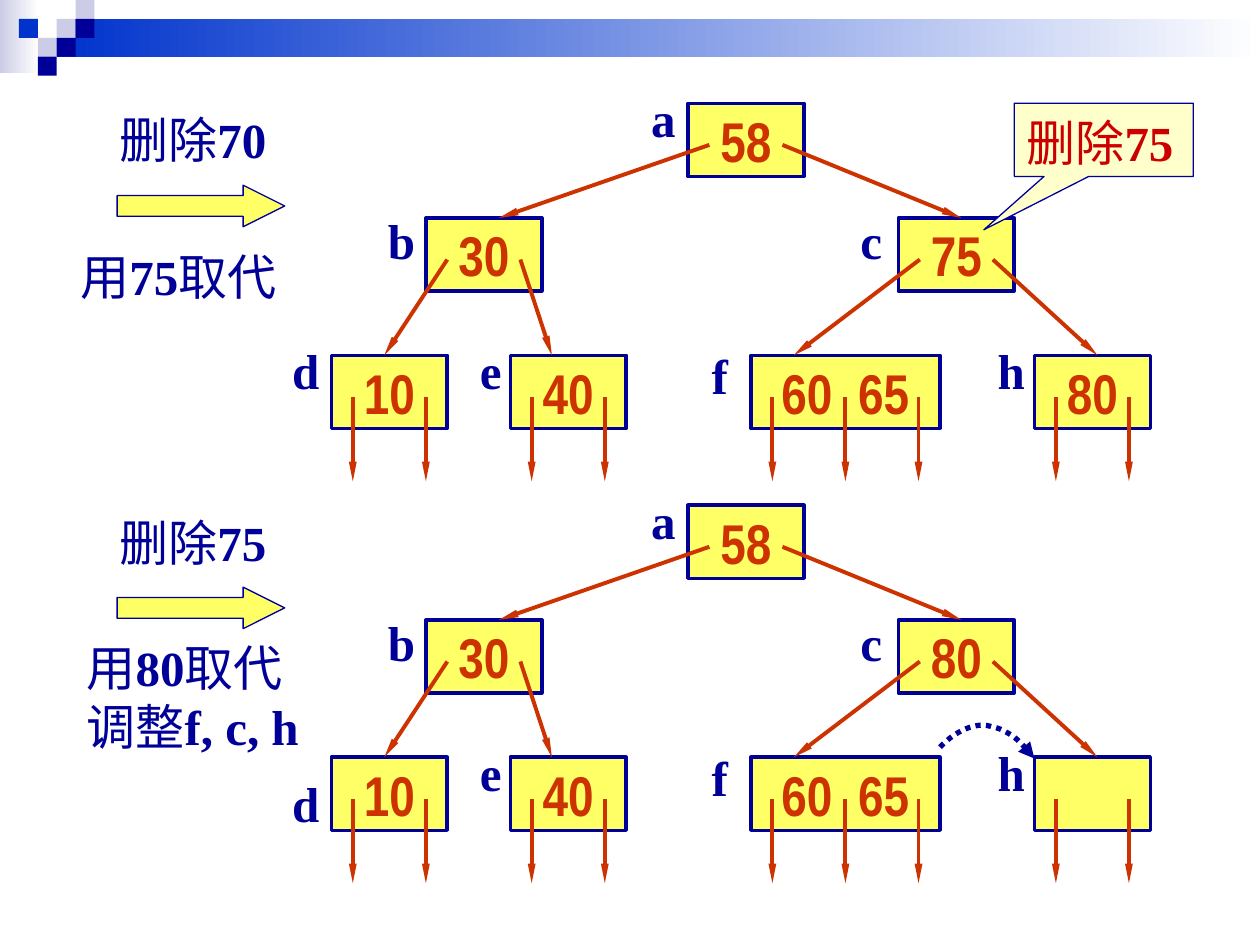
from dataclasses import dataclass

from lxml.etree import SubElement
from pptx import Presentation
from pptx.dml.color import RGBColor
from pptx.enum.dml import MSO_LINE_DASH_STYLE as Dash
from pptx.enum.shapes import MSO_CONNECTOR as Connector, MSO_SHAPE as Shape
from pptx.enum.text import MSO_ANCHOR as Anchor, MSO_AUTO_SIZE as AutoSize, PP_ALIGN as Align
from pptx.oxml.ns import qn
from pptx.util import Inches, Pt


@dataclass(frozen=True)
class Theme:
    navy: str = "000099"
    blue: str = "0033CC"
    lilac: str = "CCCCE6"
    white: str = "FFFFFF"
    yellow: str = "FFFF66"
    cream: str = "FFFFCC"
    rust: str = "CC3300"
    red: str = "CC0000"
    key_font: str = "Arial Narrow"
    text_font: str = "Times New Roman"
    key_size: int = 32
    text_size: int = 28


THEME = Theme()

# Content: trees before and after the deletion
TREES = [
    dict(top=0.82, keys=dict(a=["58"], b=["30"], c=["75"], d=["10"], e=["40"], f=["60", "65"], h=["80"]),
         lowered={}),
    dict(top=4.01, keys=dict(a=["58"], b=["30"], c=["80"], d=["10"], e=["40"], f=["60", "65"], h=[]),
         lowered={"d": 0.25}),
]
# Node: left, level, label left, label rise above the box, incoming arrow x
NODES = {
    "a": (5.46, 0, 5.07, 0.17, None),
    "b": (3.38, 1, 2.98, 0.11, 3.96),
    "c": (7.13, 1, 6.73, 0.11, 7.63),
    "d": (2.63, 2, 2.22, 0.17, 3.05),
    "e": (4.05, 2, 3.71, 0.17, 4.38),
    "f": (5.96, 2, 5.55, 0.13, 6.30),
    "h": (8.21, 2, 7.82, 0.17, 8.71),
}
CHILDREN = {"a": "bc", "b": "de", "c": "fh"}
LEVELS = (0, 0.91, 2.0)

# Notes: left, top, width, height, colour, lines of (text, bold) runs
NOTES = [
    (0.85, 0.82, 1.46, 0.57, THEME.navy, [[("删除", False), ("70", True)]]),
    (0.54, 1.91, 1.94, 0.57, THEME.navy, [[("用", False), ("75", True), ("取代", False)]]),
    (8.05, 0.84, 1.77, 0.57, THEME.red, [[("删除", False), ("75", True)]]),
    (0.85, 4.02, 1.46, 0.57, THEME.navy, [[("删除", False), ("75", True)]]),
    (0.59, 5.01, 1.97, 1.04, THEME.navy,
     [[("用", False), ("80", True), ("取代", False)], [("调整", False), ("f, c, h", True)]]),
]
# Borrowing arrow from f to h: start, then cubic curves
CURVE_START = (7.46, 5.93)
CURVES = [
    ((7.48, 5.91), (7.51, 5.88), (7.55, 5.85)),
    ((7.59, 5.82), (7.66, 5.78), (7.71, 5.77)),
    ((7.77, 5.75), (7.82, 5.75), (7.88, 5.77)),
    ((7.94, 5.78), (7.99, 5.81), (8.05, 5.85)),
    ((8.10, 5.89), (8.19, 5.99), (8.21, 6.02)),
]
# Header mosaic: column, row, colour
PIXEL = 0.15
MOSAIC = [(3, 1, THEME.lilac), (4, 0, THEME.lilac), (4, 1, THEME.navy), (2, 2, THEME.lilac),
          (1, 1, THEME.blue), (3, 2, THEME.navy), (2, 3, THEME.navy)]

BOX_HEIGHT, PORT_PAD, PORT_STEP, PORT_DROP, LEAF_DROP = 0.58, 0.17, 0.58, 0.33, 0.67

deck = Presentation()
deck.slide_width, deck.slide_height = Inches(10), Inches(7.5)
page = deck.slides.add_slide(deck.slide_layouts[6])


def rgb(colour):
    return RGBColor.from_string(colour)


def add_box(kind, left, top, width, height, fill, line_width=None):
    box = page.shapes.add_shape(kind, *map(Inches, (left, top, width, height)))
    box.shadow.inherit = False
    if isinstance(fill, tuple):
        box.fill.gradient()
        box.fill.gradient_angle = 0
        for stop, colour, position in zip(box.fill.gradient_stops, fill, (0, 1)):
            stop.color.rgb, stop.position = rgb(colour), position
    else:
        box.fill.solid()
        box.fill.fore_color.rgb = rgb(fill)
    if line_width:
        box.line.color.rgb, box.line.width = rgb(THEME.navy), Pt(line_width)
    else:
        box.line.fill.background()
    return box


def add_span(para, text, font, size, colour, bold):
    span = para.add_run()
    span.text = text
    span.font.name, span.font.size, span.font.bold = font, Pt(size), bold
    span.font.color.rgb = rgb(colour)
    return span


def add_note(left, top, width, height, colour, lines):
    frame = page.shapes.add_textbox(*map(Inches, (left, top, width, height))).text_frame
    frame.word_wrap, frame.auto_size = False, AutoSize.SHAPE_TO_FIT_TEXT
    for index, line in enumerate(lines):
        para = frame.add_paragraph() if index else frame.paragraphs[0]
        para.alignment = Align.LEFT
        for text, bold in line:
            add_span(para, text, THEME.text_font, THEME.text_size, colour, bold)


def add_head(line, width, length):
    SubElement(line.line._get_or_add_ln(), qn("a:tailEnd"), type="triangle", w=width, len=length)


def add_arrow(start, end):
    arrow = page.shapes.add_connector(Connector.STRAIGHT, *map(Inches, (*start, *end)))
    arrow.line.color.rgb, arrow.line.width = rgb(THEME.rust), Pt(2.25)
    add_head(arrow, "sm", "lg")
    SubElement(arrow._element.spPr, qn("a:effectLst"))


def add_keys(box, keys):
    frame = box.text_frame
    frame.word_wrap, frame.vertical_anchor = False, Anchor.MIDDLE
    para = frame.paragraphs[0]
    para.alignment = Align.CENTER
    style = (THEME.key_font, THEME.key_size, THEME.rust, True)
    for index, key in enumerate(keys):
        if index:
            # One space, widened by letter spacing
            add_span(para, " ", *style).font._element.set("spc", "730")
        add_span(para, key, *style)


def add_tree(top, keys, lowered):
    tops = {name: top + LEVELS[node[1]] for name, node in NODES.items()}
    ports = {name: max(2, len(keys[name]) + 1) for name in NODES}
    for name, (left, *_) in NODES.items():
        width = 2 * PORT_PAD + PORT_STEP * (ports[name] - 1)
        add_keys(add_box(Shape.RECTANGLE, left, tops[name], width, BOX_HEIGHT, THEME.yellow, 2), keys[name])
    for name, (left, _, label_left, rise, _) in NODES.items():
        for port in range(ports[name]):
            x, y = left + PORT_PAD + PORT_STEP * port, tops[name] + PORT_DROP
            if name in CHILDREN:
                child = CHILDREN[name][port]
                add_arrow((x, y), (NODES[child][4], tops[child]))
            else:
                add_arrow((x, y), (x, y + LEAF_DROP))
        label_top = tops[name] - rise + lowered.get(name, 0)
        add_note(label_left, label_top, 0.4, 0.57, THEME.navy, [[(name, True)]])
    step_arrow = add_box(Shape.RIGHT_ARROW, 0.93, top + 0.65, 1.33, 0.33, THEME.yellow, 0.75)
    step_arrow.adjustments[0], step_arrow.adjustments[1] = 0.5, 1


def curve_points(start, curves, steps=8):
    for first, second, end in curves:
        for t in (step / steps for step in range(1, steps + 1)):
            u = 1 - t
            yield tuple(u**3 * p + 3 * u * u * t * q + 3 * u * t * t * r + t**3 * s
                        for p, q, r, s in zip(start, first, second, end))
        start = end


# Header band and mosaic
add_box(Shape.RECTANGLE, 0, 0, 0.31, 0.58, (THEME.lilac, THEME.white))
add_box(Shape.RECTANGLE, 0.45, PIXEL, 9.55, 2 * PIXEL, (THEME.blue, THEME.white))
for column, row, colour in MOSAIC:
    add_box(Shape.RECTANGLE, column * PIXEL, row * PIXEL, PIXEL, PIXEL, colour)

# Trees with their step arrows
for tree in TREES:
    add_tree(**tree)

# Callout on node c, then all notes
callout = add_box(Shape.RECTANGULAR_CALLOUT, 8.05, 0.82, 1.42, 0.58, THEME.cream, 0.75)
callout.adjustments[0], callout.adjustments[1] = -0.67, 1.23
for note in NOTES:
    add_note(*note)

# Dotted borrowing arrow
builder = page.shapes.build_freeform(*map(Inches, CURVE_START))
builder.add_line_segments([tuple(map(Inches, point)) for point in curve_points(CURVE_START, CURVES)], close=False)
borrow = builder.convert_to_shape()
borrow.shadow.inherit = False
borrow.fill.background()
borrow.line.color.rgb, borrow.line.width = rgb(THEME.navy), Pt(3)
borrow.line.dash_style = Dash.ROUND_DOT
add_head(borrow, "med", "med")

deck.save("out.pptx")
